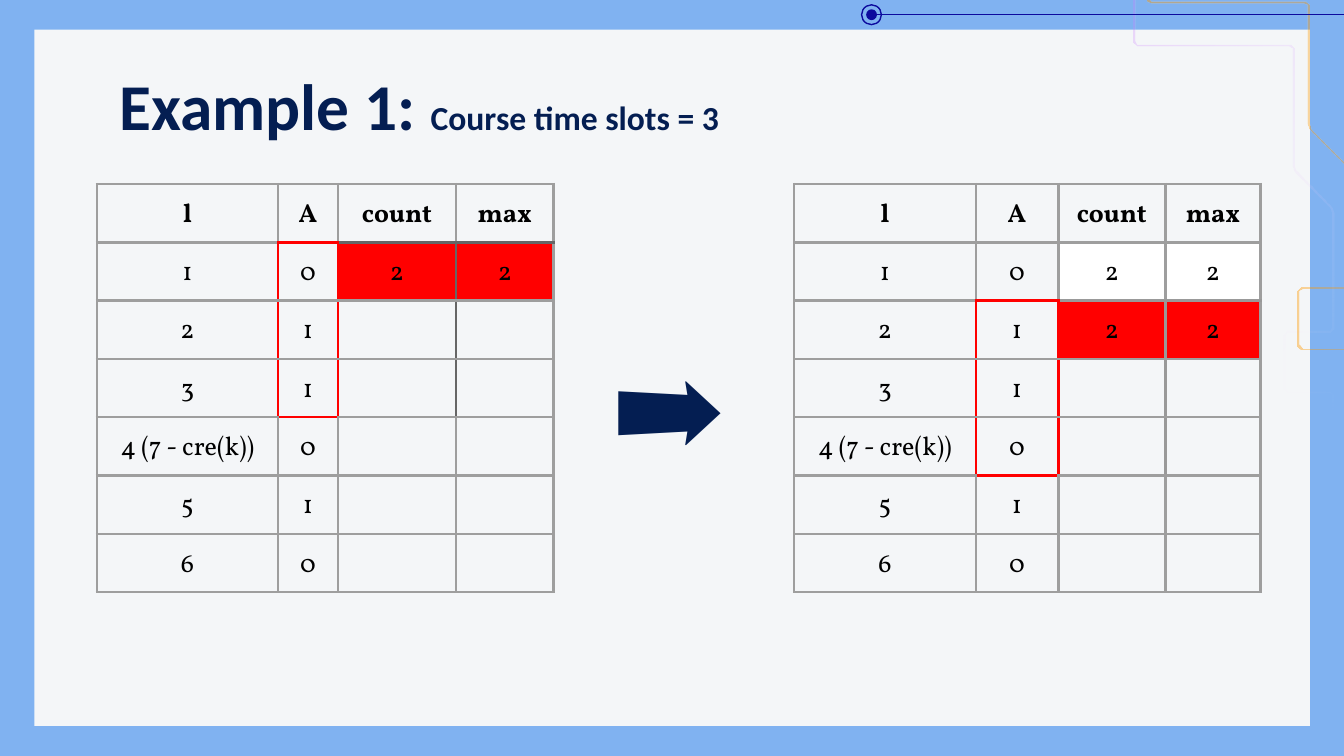
import math
from dataclasses import dataclass, field

import pptx
import pptx.dml.color
import pptx.enum.shapes
import pptx.enum.text
import pptx.oxml
import pptx.oxml.ns
import pptx.util
from lxml import etree

Pt = pptx.util.Pt
RGBColor = pptx.dml.color.RGBColor
MSO_SHAPE = pptx.enum.shapes.MSO_SHAPE
qn = pptx.oxml.ns.qn

SKY = RGBColor(0x80, 0xB2, 0xF1)
PAPER = RGBColor(0xF4, 0xF6, 0xF8)
NAVY = RGBColor(0x04, 0x1E, 0x52)
INDIGO = RGBColor(0x0C, 0x0A, 0x9E)
PURPLE = RGBColor(0xCC, 0x80, 0xFF)
ORANGE = RGBColor(0xFF, 0x99, 0x00)
RED = RGBColor(0xFF, 0x00, 0x00)
WHITE = RGBColor(0xFF, 0xFF, 0xFF)
BLACK = RGBColor(0x00, 0x00, 0x00)
GREY = RGBColor(0x9E, 0x9E, 0x9E)
MID_GREY = RGBColor(0x99, 0x99, 0x99)
DARK_GREY = RGBColor(0x66, 0x66, 0x66)

INSET = 7.2
WINDOW_ROWS = 3
HEADINGS = ["l", "A", "count", "max"]
SLOTS = [("1", "0"), ("2", "1"), ("3", "1"), ("4 (7 - cre(k))", "0"), ("5", "1"), ("6", "0")]

Point = tuple[float, float]


@dataclass
class Span:
    text: str
    size: float
    font: str
    color: RGBColor
    bold: bool = False


@dataclass
class Trace:
    points: list[Point]
    start: RGBColor
    end: RGBColor
    start_alpha: int
    end_alpha: int
    angle: int


@dataclass
class SlotTable:
    left: float
    widths: list[float]
    window_start: int
    inner_line: RGBColor
    counts: dict[int, tuple[str, str]]
    fills: dict[int, RGBColor] = field(default_factory=dict)


TRACES = [
    Trace([(607.3, 0), (607.3, 24.1), (692.3, 24.1), (692.3, 90.4), (713.9, 112.3),
           (713.9, 177.1), (687.2, 177.1), (687.2, 209.2), (713.9, 209.2),
           (713.9, 222.8), (720, 222.8)], PURPLE, WHITE, 30, 0, 45),
    Trace([(615.4, 0), (615.4, 1.1), (700.2, 1.1), (700.2, 67.7), (720, 87.8)],
          ORANGE, ORANGE, 41, 35, 0),
    Trace([(720, 154.1), (695.5, 154.1), (695.5, 186.1), (720, 186.1)],
          ORANGE, ORANGE, 41, 30, 0),
]
TABLES = [
    SlotTable(51.84, [97.2, 31.9, 63.4, 52.3], 1, DARK_GREY, {1: ("2", "2")}, {1: RED}),
    SlotTable(425.5, [97.2, 44.3, 57.3, 51.1], 2, MID_GREY,
              {1: ("2", "2"), 2: ("2", "2")}, {1: WHITE, 2: RED}),
]


def cut_corners(points: list[Point], cut: float) -> list[Point]:
    """Replace every inner corner with two points, one on each leg."""
    result = [points[0]]
    for before, corner, after in zip(points, points[1:], points[2:]):
        for other in (before, after):
            share = min(cut / math.dist(corner, other), 0.4)
            result.append((corner[0] + share * (other[0] - corner[0]),
                           corner[1] + share * (other[1] - corner[1])))
    return result + [points[-1]]


def offset_side(points: list[Point], distance: float) -> list[Point]:
    """Shift a polyline sideways, with mitred joints."""
    normals = []
    for (x1, y1), (x2, y2) in zip(points, points[1:]):
        length = math.hypot(x2 - x1, y2 - y1)
        normals.append(((y1 - y2) / length, (x2 - x1) / length))
    result = []
    for (x, y), first, second in zip(points, normals[:1] + normals, normals + normals[-1:]):
        scale = distance / (1 + first[0] * second[0] + first[1] * second[1])
        result.append((x + scale * (first[0] + second[0]), y + scale * (first[1] + second[1])))
    return result


def add_trace(page, trace: Trace) -> None:
    """Draw a thin ribbon along the points, filled with a fading gradient."""
    middle = cut_corners(trace.points, 1.8)
    outline = offset_side(middle, 0.5) + offset_side(middle, -0.5)[::-1]
    builder = page.shapes.build_freeform(*outline[0], scale=float(Pt(1)))
    builder.add_line_segments(outline[1:], close=True)
    shape = builder.convert_to_shape()
    shape.shadow.inherit = False
    shape.line.fill.background()
    shape.fill.gradient()
    gradient = shape.fill._fill._gradFill
    for child in list(gradient):
        gradient.remove(child)
    stops = etree.SubElement(gradient, qn("a:gsLst"))
    for position, color, alpha in ((0, trace.start, trace.start_alpha),
                                   (100, trace.end, trace.end_alpha)):
        stop = etree.SubElement(stops, qn("a:gs"), pos=str(position * 1000))
        tint = etree.SubElement(stop, qn("a:srgbClr"), val=str(color))
        etree.SubElement(tint, qn("a:alpha"), val=str(alpha * 1000))
    etree.SubElement(gradient, qn("a:lin"), ang=str(trace.angle * 60000), scaled="0")


def add_plain(page, kind, left: float, top: float, width: float, height: float,
              fill: RGBColor | None = None, line: RGBColor | None = None) -> None:
    shape = page.shapes.add_shape(kind, Pt(left), Pt(top), Pt(width), Pt(height))
    shape.shadow.inherit = False
    for target, color in ((shape.fill, fill), (shape.line.fill, line)):
        if color is None:
            target.background()
        else:
            target.solid()
            target.fore_color.rgb = color
    if line is not None:
        shape.line.width = Pt(0.75)


def add_span(para, span: Span) -> None:
    run = para.add_run()
    run.text = span.text
    run.font.size = Pt(span.size)
    run.font.name = span.font
    run.font.bold = span.bold
    run.font.color.rgb = span.color


def add_text(page, left: float, top: float, width: float, height: float,
             spans: list[Span], top_inset: float = INSET) -> None:
    box = page.shapes.add_textbox(Pt(left), Pt(top), Pt(width), Pt(height))
    frame = box.text_frame
    frame.word_wrap = True
    frame.margin_left = frame.margin_right = frame.margin_bottom = Pt(INSET)
    frame.margin_top = Pt(top_inset)
    for span in spans:
        add_span(frame.paragraphs[0], span)


def edge_color(spec: SlotTable, row: int, column: int, side: str) -> RGBColor:
    """Red around the window in column A, inner grey by the counters."""
    first, last = spec.window_start, spec.window_start + WINDOW_ROWS
    if side in "LR":
        edge = column + (side == "R")
        if first <= row < last and edge in (1, 2):
            return RED
        return spec.inner_line if first <= row < last and edge == 3 else GREY
    edge = row + (side == "B")
    if column == 1 and edge in (first, last):
        return RED
    return spec.inner_line if column > 1 and edge == first else GREY


def add_slot_table(page, spec: SlotTable) -> None:
    rows = [HEADINGS] + [[*slot, *spec.counts.get(number, ("", ""))]
                         for number, slot in enumerate(SLOTS, 1)]
    table = page.shapes.add_table(len(rows), len(HEADINGS), Pt(spec.left), Pt(98.6),
                                  Pt(sum(spec.widths)), Pt(30.3 * len(rows))).table
    table.first_row = table.horz_banding = False
    for column, width in zip(table.columns, spec.widths):
        column.width = Pt(width)
    for row, texts in enumerate(rows):
        for column, text in enumerate(texts):
            cell = table.cell(row, column)
            cell.margin_left = cell.margin_right = Pt(INSET)
            cell.margin_top = cell.margin_bottom = Pt(INSET)
            if column > 1 and row in spec.fills:
                cell.fill.solid()
                cell.fill.fore_color.rgb = spec.fills[row]
            else:
                cell.fill.background()
            para = cell.text_frame.paragraphs[0]
            para.alignment = pptx.enum.text.PP_ALIGN.CENTER
            if text:
                add_span(para, Span(text, 14, "Vollkorn", BLACK, row == 0))
            else:
                etree.SubElement(para._p, qn("a:endParaRPr"), sz="1400")
            properties = cell._tc.get_or_add_tcPr()
            for place, side in enumerate("LRTB"):
                border = etree.Element(qn(f"a:ln{side}"), w=str(Pt(1.5)))
                solid = etree.SubElement(border, qn("a:solidFill"))
                etree.SubElement(solid, qn("a:srgbClr"),
                                 val=str(edge_color(spec, row, column, side)))
                properties.insert(place, border)


def main() -> None:
    deck = pptx.Presentation()
    deck.slide_width, deck.slide_height = Pt(720), Pt(405)
    page = deck.slides.add_slide(deck.slide_layouts[6])
    page.background.fill.solid()
    page.background.fill.fore_color.rgb = SKY

    add_plain(page, MSO_SHAPE.RECTANGLE, 18.5, 15.9, 683.2, 373, fill=PAPER)
    for trace in TRACES:
        add_trace(page, trace)
    add_plain(page, MSO_SHAPE.OVAL, 461.6, 2.6, 10.6, 10.6, line=INDIGO)
    rail = page.shapes.add_connector(pptx.enum.shapes.MSO_CONNECTOR.STRAIGHT,
                                     Pt(720), Pt(7.9), Pt(469.6), Pt(7.9))
    rail.line.color.rgb = INDIGO
    rail.line.width = Pt(0.75)
    etree.SubElement(rail._element.spPr, qn("a:effectLst"))
    add_plain(page, MSO_SHAPE.OVAL, 464, 5, 5.8, 5.8, fill=INDIGO)

    add_text(page, 56.9, 25.9, 607, 50.4,
             [Span("Example 1: ", 35, "Calibri", NAVY, True),
              Span("Course time slots = 3", 18, "Calibri", NAVY, True)], top_inset=9.2)
    add_slot_table(page, TABLES[0])
    add_text(page, 321.8, 172.8, 46.1, 50.4, [Span("➡", 58, "Arial", NAVY)])
    add_slot_table(page, TABLES[1])
    deck.save("out.pptx")


if __name__ == "__main__":
    main()
